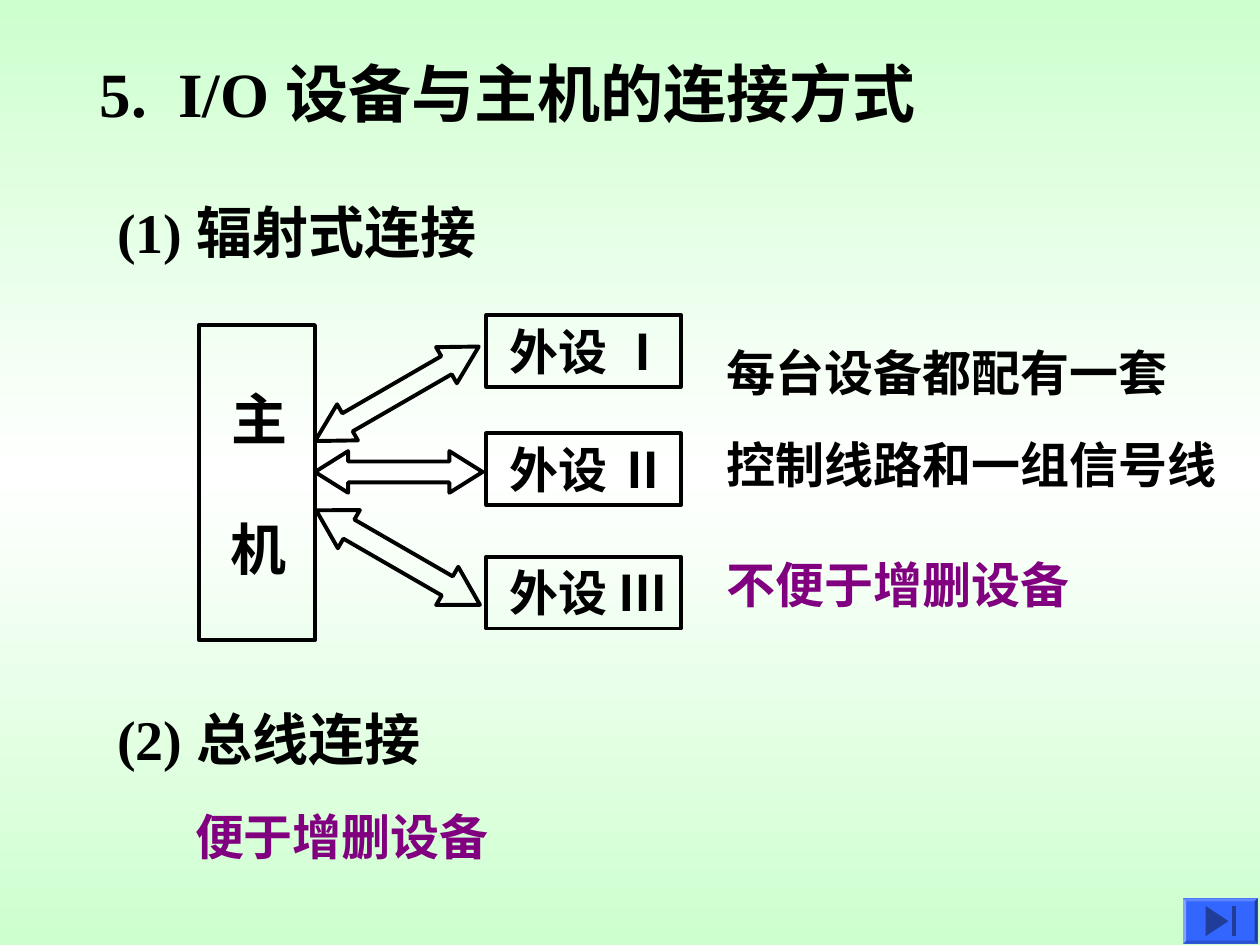
from copy import deepcopy

from pptx import Presentation
from pptx.dml.color import RGBColor
from pptx.enum.shapes import MSO_SHAPE as Shape
from pptx.enum.text import MSO_ANCHOR as Anchor, PP_ALIGN as Align
from pptx.oxml.ns import qn
from pptx.util import Pt

THEME = {
    "font": "Times New Roman",
    "title": 36, "heading": 32, "body": 28, "line": 2.25,
    "ink": "000000", "accent": "800080",
    "edge": "CDFFCE", "middle": "FFFFFF",
    "button": "3366FF", "light": "5C85FF", "pale": "84A3FF",
    "dark": "1F3D99", "shade": "2952CC",
}

TITLE = ("5.  I/O 设备与主机的连接方式", 49.7, 27.4, 492, 50.4)

# text, left, top, width, height, size, colour, wraps
TEXTS = [
    ("(1) 辐射式连接", 59.8, 109.4, 306, 46, "heading", "ink", True),
    ("(2) 总线连接", 59.8, 398.9, 282, 46, "heading", "ink", True),
    ("主", 125.3, 216, 46, 46, "heading", "ink", False),
    ("机", 124.6, 290.2, 46, 46, "heading", "ink", False),
    ("不便于增删设备", 408.2, 313.2, 246, 41, "body", "accent", True),
    ("每台设备都配有一套", 408.2, 192.2, 300, 41, "body", "ink", True),
    ("控制线路和一组信号线", 408.2, 244.8, 300, 41, "body", "ink", True),
    ("便于增删设备", 104.4, 457.2, 474, 41, "body", "accent", True),
]

HOST = (113.8, 185.8, 66.2, 180)
DEVICES = [(" 外设 Ⅰ", 180), (" 外设 Ⅱ", 247.7), (" 外设 Ⅲ", 318.2)]
DEVICE_LEFT, DEVICE_WIDTH, DEVICE_HEIGHT = 277.9, 111.2, 41

# left, top, width, height, rotation, head length
ARROWS = [
    (172.8, 213.1, 108, 23.8, 150, 0.897),
    (180, 257.8, 95.8, 23.8, 0, 0.797),
    (173.5, 306, 108, 25.2, 30, 0.856),
]

BUTTON = (676.1, 513.4, 718.6, 539.3)
BEVEL = 1.7


def colour(name):
    return RGBColor.from_string(THEME[name])


def write(shape, text, size, ink="ink", wraps=True):
    frame = shape.text_frame
    frame.text = text
    frame.word_wrap = wraps
    frame.vertical_anchor = Anchor.TOP
    para = frame.paragraphs[0]
    para.alignment = Align.LEFT
    font = para.runs[0].font
    font.name, font.size, font.bold = THEME["font"], Pt(THEME[size]), True
    font.color.rgb = colour(ink)


def outline(page, kind, box):
    shape = page.shapes.add_shape(kind, *map(Pt, box))
    shape.shadow.inherit = False
    shape.fill.background()
    shape.line.color.rgb = colour("ink")
    shape.line.width = Pt(THEME["line"])
    return shape


def polygon(page, points, fill):
    start, *rest = points
    builder = page.shapes.build_freeform(Pt(start[0]), Pt(start[1]))
    builder.add_line_segments([(Pt(x), Pt(y)) for x, y in rest], close=True)
    shape = builder.convert_to_shape()
    shape.shadow.inherit = False
    shape.fill.solid()
    shape.fill.fore_color.rgb = colour(fill)
    shape.line.fill.background()


def corners(left, top, right, bottom):
    return [(left, top), (right, top), (right, bottom), (left, bottom)]


def paint_background(page):
    fill = page.background.fill
    fill.gradient()
    fill.gradient_angle = 90
    for stop in fill.gradient_stops:
        stop.color.rgb = colour("edge")
    first = page.element.find(".//" + qn("a:gsLst"))[0]
    first.addnext(deepcopy(first))
    middle = fill.gradient_stops[1]
    middle.position = 0.5
    middle.color.rgb = colour("middle")


def draw_button(page):
    left, top, right, bottom = BUTTON
    outer = corners(*BUTTON)
    inner = corners(left + BEVEL, top + BEVEL, right - BEVEL, bottom - BEVEL)
    polygon(page, outer, "button")
    for side, fill in enumerate(("light", "dark", "shade", "pale")):
        after = (side + 1) % 4
        polygon(page, [outer[side], outer[after], inner[after], inner[side]], fill)
    x, y = (left + right) / 2, (top + bottom) / 2
    polygon(page, [(x + 4.6, y), (x - 8.4, y + 8.6), (x - 8.4, y - 8.6)], "dark")
    polygon(page, corners(x + 6.8, y - 8.6, x + 9, y + 8.6), "dark")


def main():
    deck = Presentation()
    deck.slide_width, deck.slide_height = Pt(720), Pt(540)
    page = deck.slides.add_slide(deck.slide_layouts[5])
    paint_background(page)

    text, *box = TITLE
    title = page.shapes.title
    title.left, title.top, title.width, title.height = map(Pt, box)
    write(title, text, "title")

    outline(page, Shape.RECTANGLE, HOST)
    for text, top in DEVICES:
        box = (DEVICE_LEFT, top, DEVICE_WIDTH, DEVICE_HEIGHT)
        write(outline(page, Shape.RECTANGLE, box), text, "body", wraps=False)
    for *box, rotation, head in ARROWS:
        arrow = outline(page, Shape.LEFT_RIGHT_ARROW, box)
        arrow.rotation = rotation
        arrow.adjustments[0], arrow.adjustments[1] = 0.5, head

    for text, *box, size, ink, wraps in TEXTS:
        write(page.shapes.add_textbox(*map(Pt, box)), text, size, ink, wraps)
    draw_button(page)
    deck.save("out.pptx")


if __name__ == "__main__":
    main()
